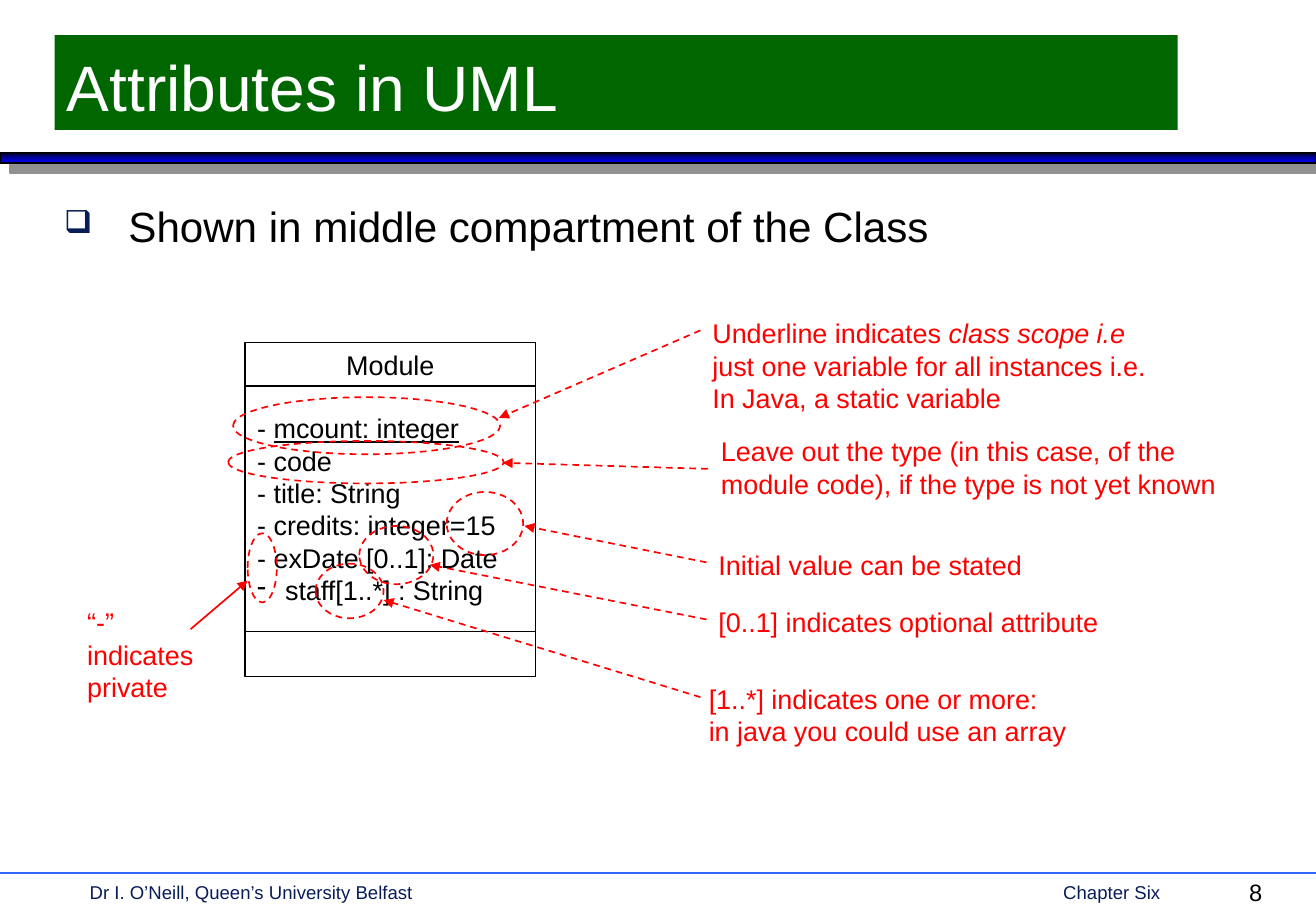
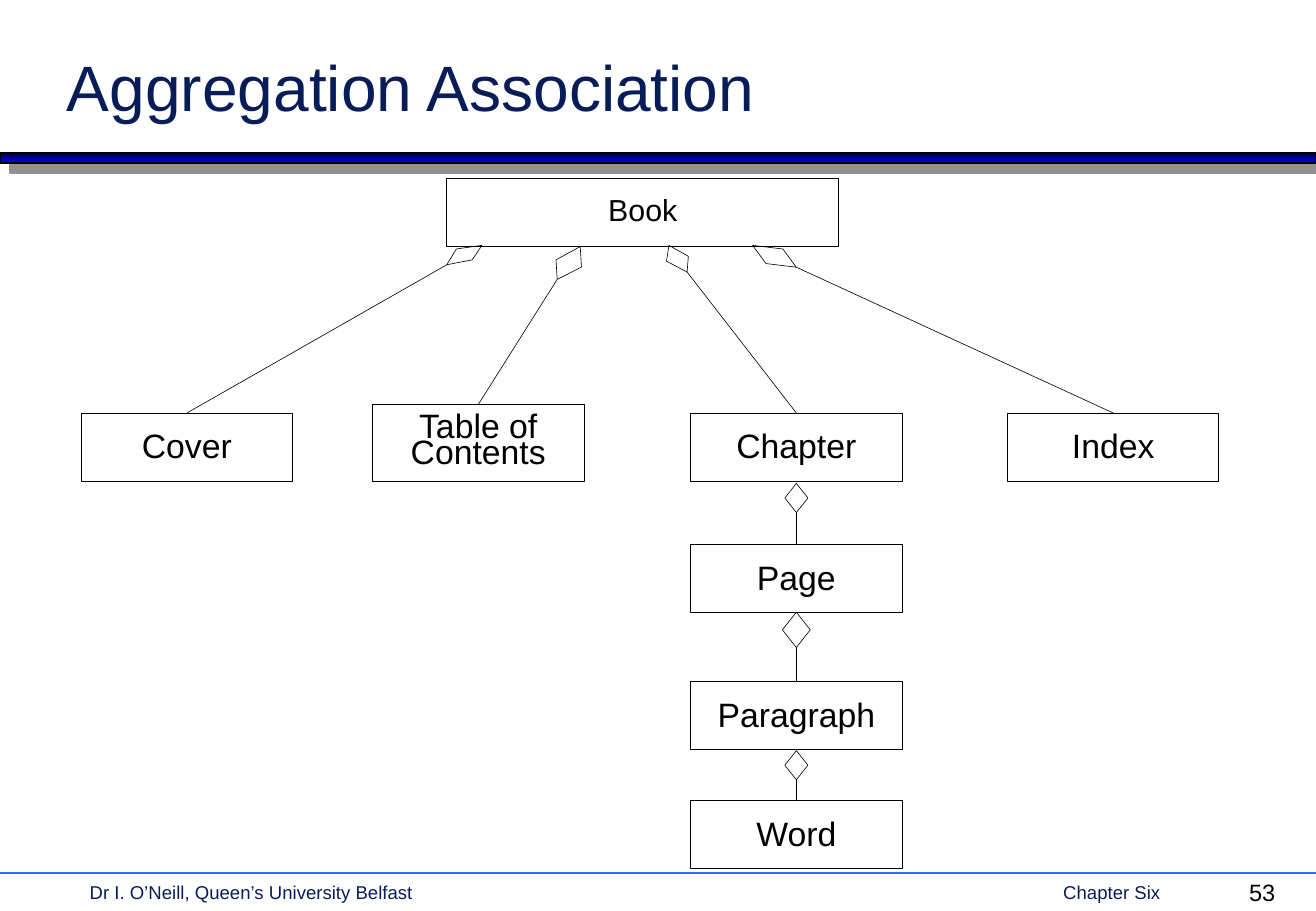
"""Two UML lecture slides: attributes of a class, and aggregation."""
from lxml import etree
from pptx import Presentation
from pptx.dml.color import RGBColor
from pptx.enum.dml import MSO_LINE
from pptx.enum.shapes import MSO_CONNECTOR, MSO_SHAPE
from pptx.enum.text import MSO_ANCHOR, MSO_AUTO_SIZE, PP_ALIGN
from pptx.oxml.ns import qn
from pptx.util import Inches, Pt

RECT, OVAL, GEM = MSO_SHAPE.RECTANGLE, MSO_SHAPE.OVAL, MSO_SHAPE.DIAMOND
LINE, DASH = MSO_CONNECTOR.STRAIGHT, MSO_LINE.DASH
TOP, MID, LOW = MSO_ANCHOR.TOP, MSO_ANCHOR.MIDDLE, MSO_ANCHOR.BOTTOM
LEFT, MIDST = PP_ALIGN.LEFT, PP_ALIGN.CENTER
WIDE, HIGH = 10.84, 7.5
FONT = "Arial"
HUES = {"navy": "081D58", "black": "000000", "white": "FFFFFF", "red": "FF0000",
        "green": "006600", "rule": "3366FF", "dark": "000036", "blue": "0000FF",
        "shade": "919191"}
PAD = (0.1, 0.05)

FOOT = [("Dr I. O’Neill, Queen’s University Belfast", 0.64, 5), ("Chapter Six", 8.66, 1.4)]

POINT = "Shown in middle compartment of the Class"
CLASS = {"left": 2.02, "top": 2.82, "wide": 2.39, "rows": (0.36, 2.02, 0.37)}
FIELDS = [["- ", ("mcount: integer", "u")], ["- code"], ["- title: String"],
          ["- credits: integer=15"], ["- exDate [0..1]: Date"], ["staff[1..*] : String"]]
NOTES = [
    {"text": ["Underline indicates ", ("class scope i.e", "i"), "\n",
              "just one variable for all instances i.e. In Java, a static variable"],
     "box": (5.77, 2.56, 3.94, 0.9), "ring": (1.92, 3.27, 2.2, 0.47),
     "arrow": (5.77, 2.72, 4.11, 3.44), "dash": DASH},
    {"text": ["Leave out the type (in this case, of the module code), "
              "if the type is not yet known"],
     "box": (5.84, 3.53, 4.6, 0.64), "ring": (1.88, 3.63, 2.27, 0.35),
     "arrow": (5.83, 3.86, 4.14, 3.81), "dash": DASH},
    {"text": ["Initial value can be stated"],
     "box": (5.82, 4.47, 3.7, 0.37), "ring": (3.68, 4.05, 0.63, 0.52),
     "arrow": (5.82, 4.63, 4.32, 4.33), "dash": DASH},
    {"text": ["[0..1] indicates optional attribute"],
     "box": (5.82, 4.94, 3.7, 0.37), "ring": (2.96, 4.33, 0.61, 0.48),
     "arrow": (5.82, 5.1, 3.54, 4.65), "dash": DASH},
    {"text": ["[1..*] indicates one or more:", "\n", "in java you could use an array"],
     "box": (5.74, 5.57, 3.7, 0.64), "ring": (2.6, 4.64, 0.56, 0.45),
     "arrow": (5.77, 5.74, 3.16, 4.94), "dash": DASH},
    {"text": ["“-” indicates private"],
     "box": (0.62, 4.94, 1.26, 0.9), "ring": (2.04, 4.39, 0.24, 0.57),
     "arrow": (1.57, 5.18, 2.04, 4.78), "dash": None},
]

PART = 1.74
BOXES = {
    "Book": (3.68, 1.47, 3.23, 0.56, 18),
    "Cover": (0.67, 3.4, PART, 0.56, 20),
    "Table of\nContents": (3.07, 3.33, PART, 0.63, 20),
    "Chapter": (5.69, 3.4, PART, 0.56, 20),
    "Index": (8.3, 3.4, PART, 0.56, 20),
    "Page": (5.69, 4.48, PART, 0.56, 20),
    "Paragraph": (5.69, 5.61, PART, 0.56, 20),
    "Word": (5.69, 6.59, PART, 0.56, 20),
}
FAN = {
    "Cover": [(3.68, 2.18), (3.89, 2.14), (3.97, 2.02), (3.76, 2.05)],
    "Table of\nContents": [(4.59, 2.3), (4.79, 2.2), (4.78, 2.03), (4.58, 2.14)],
    "Chapter": [(5.66, 2.24), (5.67, 2.11), (5.51, 2.02), (5.49, 2.15)],
    "Index": [(6.56, 2.2), (6.45, 2.05), (6.2, 2.02), (6.31, 2.17)],
}
CHAIN = {"Page": (3.98, 0.19, 0.24), "Paragraph": (5.04, 0.23, 0.29),
         "Word": (6.18, 0.19, 0.24)}


def hue(name):
    return RGBColor.from_string(HUES[name])


def place(box):
    return [Inches(part) for part in box]


def sub(root, tag, **keys):
    return etree.SubElement(root, qn(tag), **keys)


def ink(par, size, tint, align=LEFT):
    par.alignment = align
    par.font.size, par.font.name = Pt(size), FONT
    par.font.color.rgb = hue(tint)


def say(par, runs):
    for item in runs:
        text, mark = item if isinstance(item, tuple) else (item, "")
        if text == "\n":
            par.add_line_break()
            continue
        run = par.add_run()
        run.text = text
        if mark == "u":
            run.font.underline = True
        elif mark == "i":
            run.font.italic = True


def frame(shape, anchor=TOP, pad=PAD, wrap=True):
    body = shape.text_frame
    body.word_wrap, body.vertical_anchor = wrap, anchor
    body.auto_size = MSO_AUTO_SIZE.NONE
    body.margin_left = body.margin_right = Inches(pad[0])
    body.margin_top = body.margin_bottom = Inches(pad[1])
    return body


def bullet(par, mark, tint, indent, share=100):
    props = par._p.get_or_add_pPr()
    props.set("marL", str(Inches(indent)))
    props.set("indent", str(-Inches(indent)))
    sub(sub(props, "a:buClr"), "a:srgbClr", val=HUES[tint])
    sub(props, "a:buSzPct", val=str(share * 1000))
    sub(props, "a:buChar", char=mark)


def label(slide, box, runs, size, tint):
    par = frame(slide.shapes.add_textbox(*place(box))).paragraphs[0]
    say(par, runs)
    ink(par, size, tint)
    return par


def outline(shape, tint="black", width=1, dash=None):
    shape.fill.background()
    shape.shadow.inherit = False
    shape.line.color.rgb, shape.line.width = hue(tint), Pt(width)
    if dash:
        shape.line.dash_style = dash
    return shape


def draw(slide, kind, box, *look):
    return outline(slide.shapes.add_shape(kind, *place(box)), *look)


def link(slide, ends, tint="black", width=1, dash=None, arrow=False):
    wire = slide.shapes.add_connector(LINE, *place(ends))
    wire.line.color.rgb, wire.line.width = hue(tint), Pt(width)
    if dash:
        wire.line.dash_style = dash
    if arrow:
        sub(wire.line._get_or_add_ln(), "a:tailEnd", type="triangle")
    sub(wire._element.spPr, "a:effectLst")
    return wire


def start(deck, text, number, tint, back=None):
    slide = deck.slides.add_slide(deck.slide_layouts[5])
    band = draw(slide, RECT, (0, 1.26, WIDE, 0.08))
    band.fill.gradient()
    band.fill.gradient_angle = 270
    for stop, name, spot in zip(band.fill.gradient_stops, ("dark", "blue"), (0, 1)):
        stop.color.rgb, stop.position = hue(name), spot
    cast = sub(band._element.spPr.find(qn("a:effectLst")), "a:outerShdw",
               dist=str(Pt(8.5)), dir="2700000", algn="ctr", rotWithShape="0")
    sub(cast, "a:srgbClr", val=HUES["shade"])
    link(slide, (0, 7.19, WIDE, 7.19), "rule")
    for words, left, wide in FOOT:
        label(slide, (left, 7.2, wide, 0.28), [words], 11, "navy")
    label(slide, (10.19, 7.18, 0.58, 0.3), [str(number)], 14, "black")

    title = slide.shapes.title
    title.left, title.top, title.width, title.height = place((0.45, 0.29, 9.25, 0.78))
    if back:
        title.fill.solid()
        title.fill.fore_color.rgb = hue(back)
    par = frame(title, LOW).paragraphs[0]
    say(par, [text])
    ink(par, 38, tint)
    return slide


def uml(deck):
    slide = start(deck, "Attributes in UML", 8, "white", "green")
    point = label(slide, (0.43, 1.6, 9.99, 0.6), [], 25, "black")
    point._p.remove(point._p.pPr)
    bullet(point, "❑", "navy", 0.53, 75)
    say(point, [POINT])
    ink(point, 25, "black")

    top, cells = CLASS["top"], []
    for tall in CLASS["rows"]:
        cells.append(draw(slide, RECT, (CLASS["left"], top, CLASS["wide"], tall)))
        top += tall
    head = frame(cells[0], MID).paragraphs[0]
    say(head, ["Module"])
    ink(head, 16, "black", MIDST)
    body = frame(cells[1], MID)
    for row, runs in enumerate(FIELDS):
        par = body.add_paragraph() if row else body.paragraphs[0]
        if runs is FIELDS[-1]:
            bullet(par, "-", "black", 0.23)
        say(par, runs)
        ink(par, 16, "black")

    for note in NOTES:
        label(slide, note["box"], note["text"], 16, "red")
        draw(slide, OVAL, note["ring"], "red", 1, DASH)
        link(slide, note["arrow"], "red", 1, note["dash"], True)


def tree(deck):
    slide = start(deck, "Aggregation Association", 53, "navy")
    thin = ("black", 0.37)
    nodes = {}
    for name, (*box, size) in BOXES.items():
        nodes[name] = draw(slide, RECT, box, *thin)
        lines = name.split("\n")
        body = frame(nodes[name], TOP, (0, 0.07 + 0.03 * len(lines)), False)
        for row, words in enumerate(lines):
            par = body.add_paragraph() if row else body.paragraphs[0]
            say(par, [words])
            ink(par, size, "black", MIDST)
            if len(lines) > 1:
                par.line_spacing = Pt(15)

    for name, spots in FAN.items():
        path = [tuple(place(spot)) for spot in spots]
        pen = slide.shapes.build_freeform(*path[0])
        pen.add_line_segments(path[1:], close=True)
        outline(pen.convert_to_shape(), *thin)
        link(slide, spots[0] * 2, *thin).end_connect(nodes[name], 0)

    mid = BOXES["Chapter"][0] + PART / 2
    for name, (top, wide, tall) in CHAIN.items():
        gem = draw(slide, GEM, (mid - wide / 2, top, wide, tall), *thin)
        wire = link(slide, (mid, top + tall, mid, BOXES[name][1]), *thin)
        wire.begin_connect(gem, 2)
        wire.end_connect(nodes[name], 0)


def main():
    deck = Presentation()
    deck.slide_width, deck.slide_height = place((WIDE, HIGH))
    uml(deck)
    tree(deck)
    deck.save("out.pptx")


if __name__ == "__main__":
    main()
